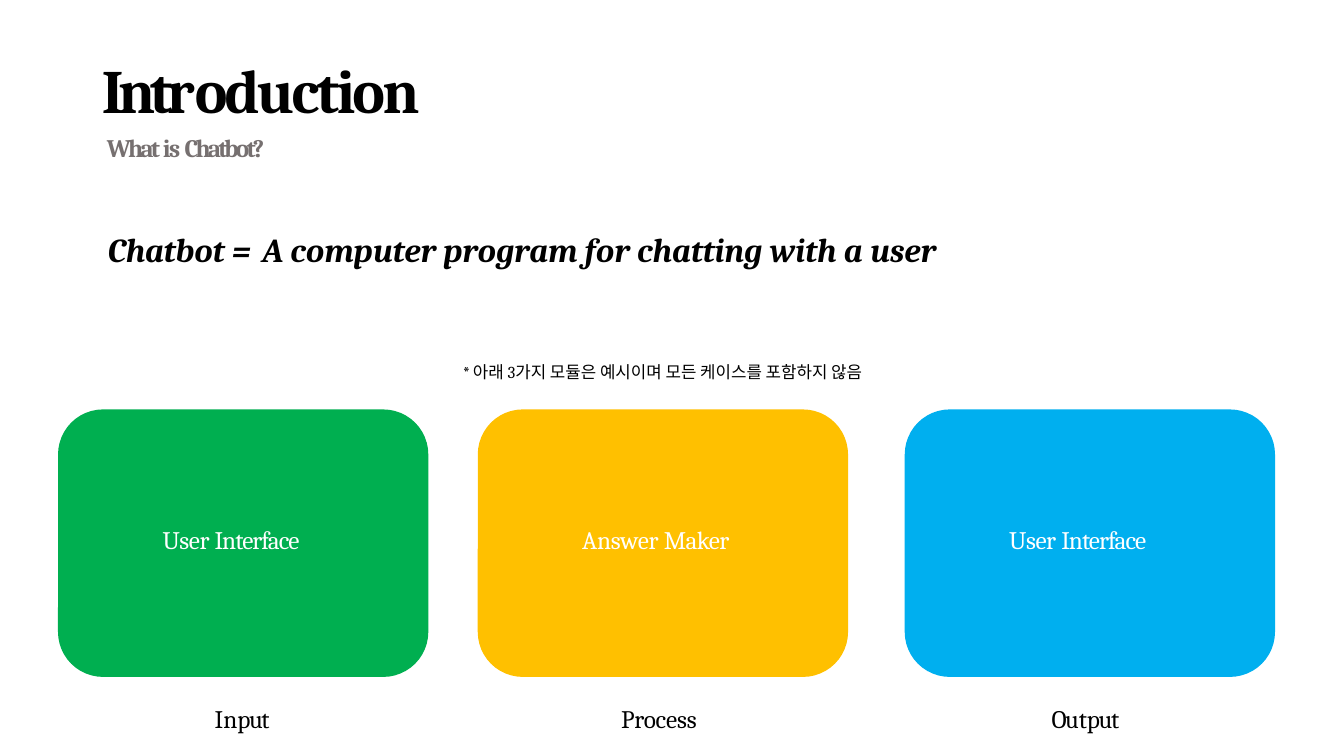
import pptx
import pptx.dml.color
import pptx.enum.shapes
import pptx.util

RGBColor = pptx.dml.color.RGBColor
BLACK = RGBColor(0x00, 0x00, 0x00)
GRAY = RGBColor(0x76, 0x70, 0x70)
WHITE = RGBColor(0xFF, 0xFF, 0xFF)
GREEN = RGBColor(0x00, 0xAF, 0x50)
AMBER = RGBColor(0xFF, 0xC0, 0x00)
BLUE = RGBColor(0x00, 0xAF, 0xEF)


class ModuleSlide:
    font_name = "Cambria"
    panel_top, panel_width, panel_height = 54.25, 27.45, 35.2
    label_inset, label_top, label_width = 7.65, 69.33, 13
    caption_top, line_height = 93.07, 4.27

    def __init__(self, deck):
        self.deck = deck
        self.page = deck.slides.add_slide(deck.slide_layouts[6])

    def place(self, left, top, width, height):
        across, down = self.deck.slide_width, self.deck.slide_height
        return [
            pptx.util.Emu(round(share * size / 100))
            for share, size in zip((left, top, width, height), (across, down) * 2)
        ]

    def text_box(self, left, top, width, height):
        box = self.page.shapes.add_textbox(*self.place(left, top, width, height))
        frame = box.text_frame
        frame.word_wrap = True
        frame.margin_left = frame.margin_right = 0
        frame.margin_top = frame.margin_bottom = 0
        return frame

    def add_spans(self, para, spans, size, color, bold=False, italic=False, indent=0.01):
        properties = para._p.get_or_add_pPr()
        properties.set("marL", str(pptx.util.Inches(indent)))
        for words, spacing in spans:
            span = para.add_run()
            span.text = words
            span.font.name = self.font_name
            span.font.size = pptx.util.Pt(size)
            span.font.bold = bold
            span.font.italic = italic
            span.font.color.rgb = color
            span._r.get_or_add_rPr().set("spc", str(round(spacing * 100)))

    def heading(self, title, subtitle):
        frame = self.text_box(7.5, 6.93, 24.3, 16.93)
        self.add_spans(frame.paragraphs[0], title, 44, BLACK, bold=True)
        para = frame.add_paragraph()
        para.space_before = pptx.util.Pt(4)
        self.add_spans(para, subtitle, 18, GRAY, bold=True, indent=0.06)

    def line(self, left, top, width, spans, size, color, **style):
        frame = self.text_box(left, top, width, self.line_height)
        self.add_spans(frame.paragraphs[0], spans, size, color, **style)

    def module(self, left, color, label, caption_left, caption_width, caption):
        panel = self.page.shapes.add_shape(
            pptx.enum.shapes.MSO_SHAPE.ROUNDED_RECTANGLE,
            *self.place(left, self.panel_top, self.panel_width, self.panel_height),
        )
        panel.adjustments[0] = 1 / 6
        panel.shadow.inherit = False
        panel.fill.solid()
        panel.fill.fore_color.rgb = color
        panel.line.color.rgb = color
        panel.line.width = pptx.util.Pt(0.96)
        self.line(left + self.label_inset, self.label_top, self.label_width, label, 18, WHITE)
        self.line(caption_left, self.caption_top, caption_width, caption, 18, BLACK)


def main():
    deck = pptx.Presentation()
    deck.slide_width = pptx.util.Inches(13.33)
    deck.slide_height = pptx.util.Inches(7.5)
    slide = ModuleSlide(deck)

    slide.heading(
        [("Intr", -4), ("oduction", -2)],
        [("What ", -2), ("is ", -1), ("Chatbot?", -2)],
    )
    definition = [
        ("Chatbot ", -0.1),
        ("= ", 1.4),
        ("A computer program for chatting with a user", 0),
    ]
    slide.line(7.95, 30.27, 70.9, definition, 24, BLACK, bold=True, italic=True)
    note = [("* ", -0.5), ("아래 3가지 모듈은 예시이며 모든 케이스를 포함하지 않음", 0)]
    slide.line(34.36, 47.87, 34, note, 12, BLACK)

    interface = [("User ", -0.3), ("Interface", -0.7)]
    answer = [("Answer ", -0.2), ("Maker", -0.5)]
    for module in (
        (4.37, GREEN, interface, 15.9, 5, [("I", -0.7), ("n", -1.5), ("put", -1)]),
        (35.6, AMBER, answer, 46.14, 7, [("Process", -0.1)]),
        (67.37, BLUE, interface, 78.17, 6, [("Ou", -1.2), ("t", -0.7), ("put", -1)]),
    ):
        slide.module(*module)

    deck.save("out.pptx")


if __name__ == "__main__":
    main()
